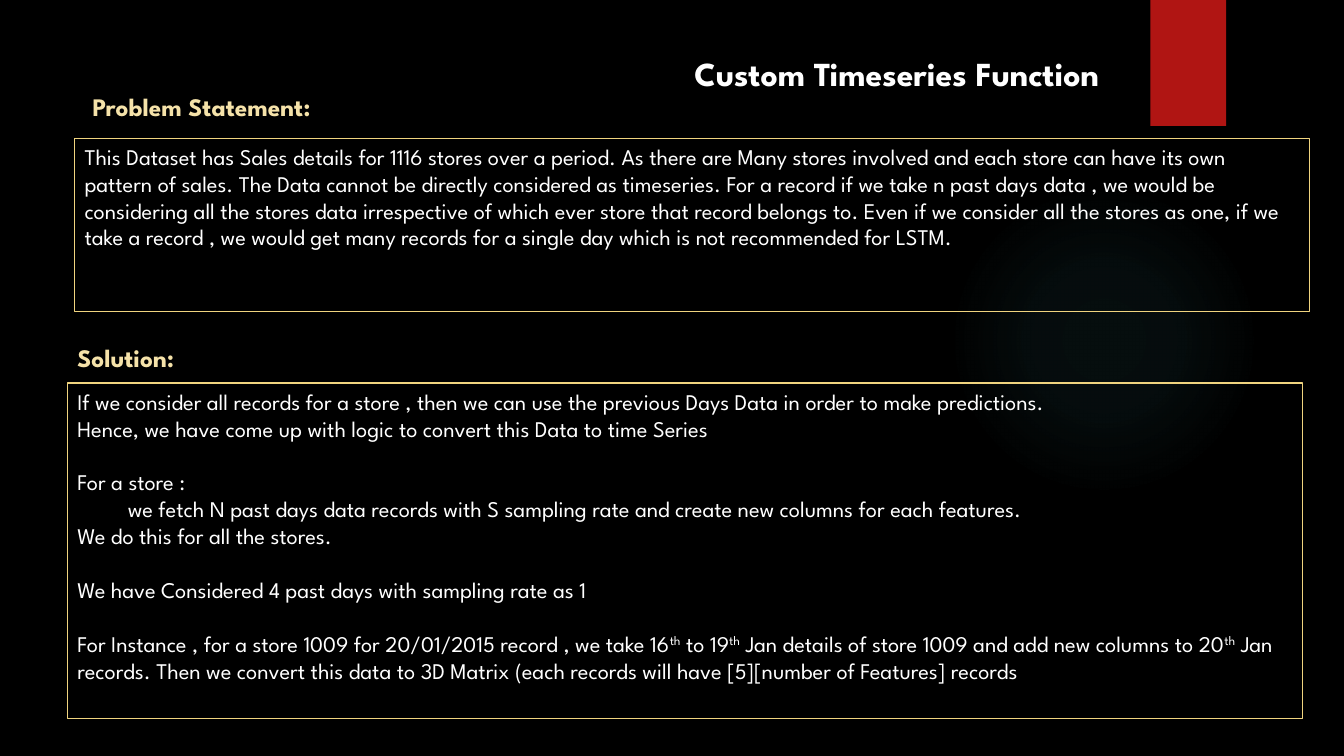
from dataclasses import dataclass

from pptx import Presentation
from pptx.dml.color import RGBColor
from pptx.enum.shapes import MSO_SHAPE
from pptx.enum.text import MSO_ANCHOR, PP_ALIGN
from pptx.oxml import parse_xml
from pptx.oxml.ns import nsdecls
from pptx.util import Pt

RECTANGLE, OVAL = MSO_SHAPE.RECTANGLE, MSO_SHAPE.OVAL
TOP, LEFT = MSO_ANCHOR.TOP, PP_ALIGN.LEFT


@dataclass(frozen=True)
class Theme:
    font: str = "League Spartan"
    background: str = "000000"
    text: str = "FFFFFF"
    heading: str = "F5E2A9"
    border: str = "F0D47F"
    ribbon: str = "B01513"
    glow: str = "50B9C1"
    title_size: float = 24
    heading_size: float = 18
    body_size: float = 16
    line_gap: float = 19.2
    border_width: float = 0.75


class SlideBuilder:
    def __init__(self, page, theme):
        self.page = page
        self.theme = theme
        page.background.fill.solid()
        page.background.fill.fore_color.rgb = RGBColor.from_string(theme.background)

    def shape(self, kind, *bounds):
        shape = self.page.shapes.add_shape(kind, *map(Pt, bounds))
        shape.shadow.inherit = False
        shape.line.fill.background()
        return shape

    def glow(self, *bounds):
        """Add a circle that fades out from its centre."""
        circle = self.shape(OVAL, *bounds)
        circle.fill.gradient()
        stops = "".join(
            f'<a:gs pos="{place * 1000}"><a:srgbClr val="{self.theme.glow}">'
            f'<a:alpha val="{opacity * 1000}"/></a:srgbClr></a:gs>'
            for place, opacity in ((0, 7), (36, 6), (69, 0)))
        gradient = parse_xml(
            f'<a:gradFill {nsdecls("a")}><a:gsLst>{stops}</a:gsLst><a:path path="circle">'
            '<a:fillToRect l="50000" t="50000" r="50000" b="50000"/></a:path></a:gradFill>')
        properties = circle._element.spPr
        properties.replace(properties.find(gradient.tag), gradient)

    def ribbon(self, *bounds):
        ribbon = self.shape(RECTANGLE, *bounds)
        ribbon.fill.solid()
        ribbon.fill.fore_color.rgb = RGBColor.from_string(self.theme.ribbon)

    def style(self, para, size, color, bold=False):
        para.alignment = LEFT
        para.font.name = self.theme.font
        para.font.size = Pt(size)
        para.font.bold = bold
        para.font.color.rgb = RGBColor.from_string(color)

    def label(self, text, size, color, *bounds):
        box = self.page.shapes.add_textbox(*map(Pt, bounds))
        box.text_frame.word_wrap = True
        para = box.text_frame.paragraphs[0]
        para.text = text
        self.style(para, size, color, bold=True)

    def panel(self, lines, *bounds):
        """Add a bordered box; each line is (text, gap before, left indent)."""
        panel = self.shape(RECTANGLE, *bounds)
        panel.fill.background()
        panel.line.color.rgb = RGBColor.from_string(self.theme.border)
        panel.line.width = Pt(self.theme.border_width)
        frame = panel.text_frame
        frame.word_wrap = True
        frame.vertical_anchor = TOP
        for number, (text, gap, indent) in enumerate(lines):
            para = frame.add_paragraph() if number else frame.paragraphs[0]
            self.style(para, self.theme.body_size, self.theme.text)
            para.space_before = Pt(gap)
            para._p.get_or_add_pPr().set("marL", str(Pt(indent)))
            # Every second piece between carets is raised
            for position, piece in enumerate(text.split("^")):
                span = para.add_run()
                span.text = piece
                if position % 2:
                    span._r.get_or_add_rPr().set("baseline", "30000")


def main():
    theme = Theme()
    deck = Presentation()
    deck.slide_width, deck.slide_height = Pt(960), Pt(540)
    slide = SlideBuilder(deck.slides.add_slide(deck.slide_layouts[6]), theme)

    # Backdrop
    slide.glow(677.5, 131.8, 221.8, 221.8)
    slide.ribbon(821.8, 0, 54, 90)

    # Title
    slide.label("Custom Timeseries Function", theme.title_size, theme.text,
                488.9, 34.6, 340.6, 36)

    # Problem statement
    slide.panel([(
        "This Dataset has Sales details for 1116 stores over a period. As there are Many stores "
        "involved and each store can have its own pattern of sales. The Data cannot be directly "
        "considered as timeseries. For a record if we take n past days data , we would be "
        "considering all the stores data irrespective of which ever store that record belongs to. "
        "Even if we consider all the stores as one, if we take a record , we would get many "
        "records for a single day which is not recommended for LSTM.", 0, 0)],
        53.3, 98.6, 882, 123.8)
    slide.label("Problem Statement:", theme.heading_size, theme.heading, 59, 61.9, 241.2, 28.8)

    # Solution
    gap = theme.line_gap
    slide.panel([
        ("If we consider all records for a store , then we can use the previous Days Data "
         "in order to make predictions.", 0, 0),
        ("Hence, we have come up with logic to convert this Data to time Series", 0, 0),
        ("For a store :", gap, 0),
        ("we fetch N past days data records with S sampling rate and create new columns "
         "for each features.", 0, 36),
        ("We do this for all the stores.", 0, 0),
        ("We have Considered 4 past days with sampling rate as 1", gap, 0),
        ("For Instance , for a store 1009 for 20/01/2015 record , we take 16^th^ to 19^th^ Jan "
         "details of store 1009 and add new columns to 20^th^ Jan records. Then we convert this "
         "data to 3D Matrix (each records will have [5][number of Features] records", gap, 0)],
        48.2, 273.6, 882, 239.8)
    slide.label("Solution:", theme.heading_size, theme.heading, 48.2, 241.2, 241.2, 28.8)

    deck.save("out.pptx")


if __name__ == "__main__":
    main()
